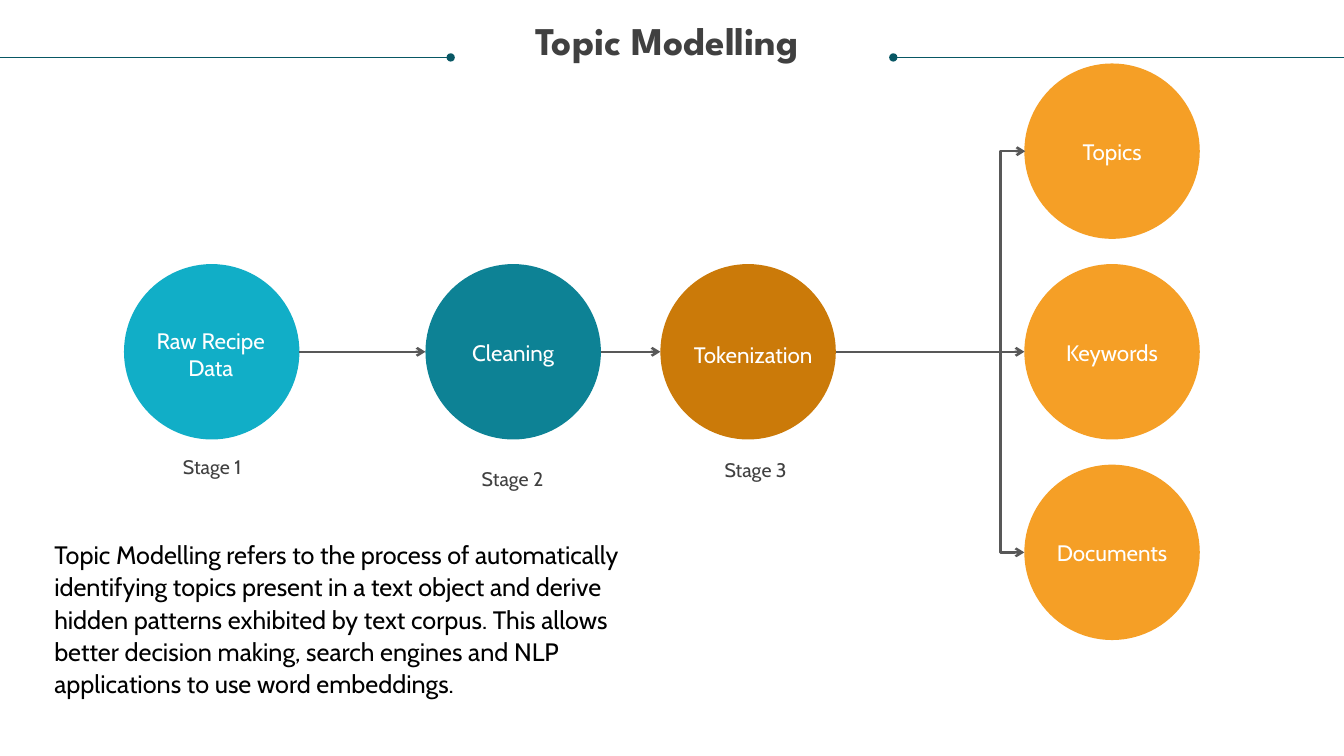
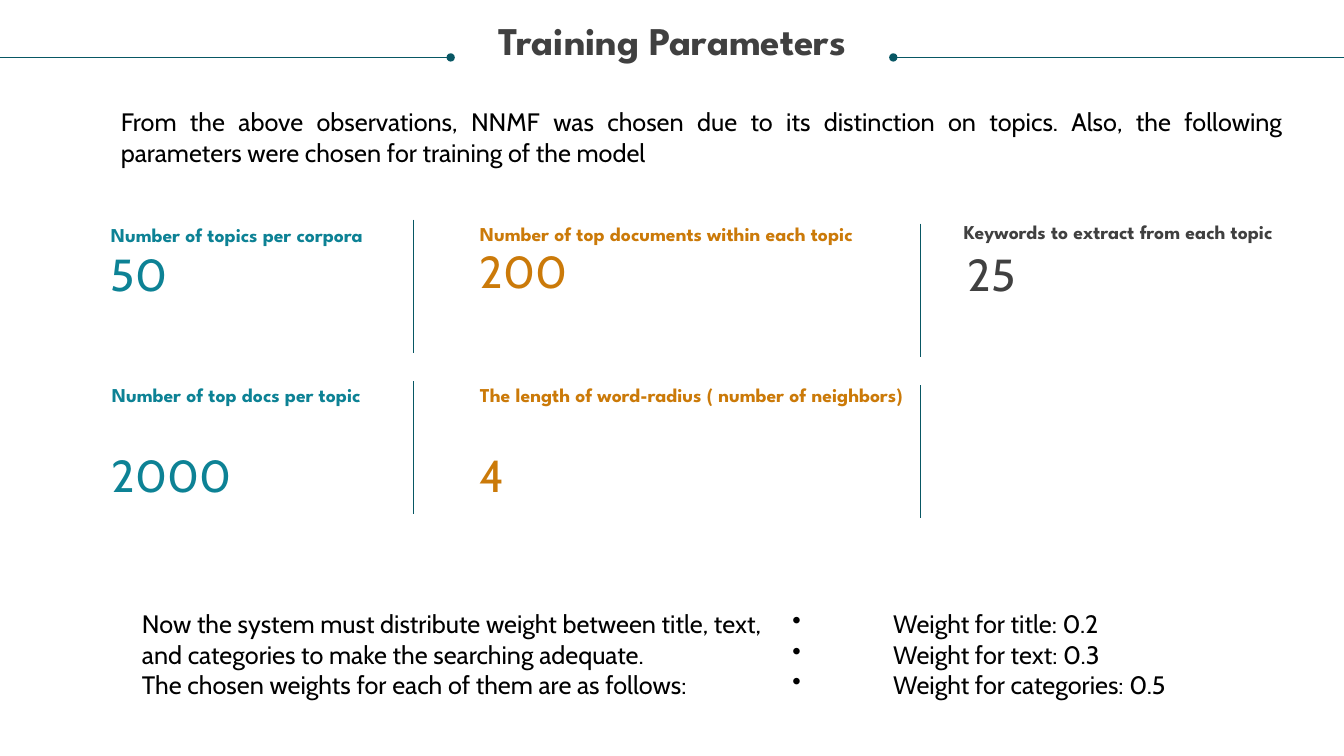
from collections import namedtuple
from itertools import pairwise

from lxml.etree import SubElement
from pptx import Presentation
from pptx.dml.color import RGBColor
from pptx.enum.shapes import MSO_CONNECTOR as Link, MSO_SHAPE as Preset
from pptx.enum.text import MSO_ANCHOR as Anchor, MSO_AUTO_SIZE as Fit, PP_ALIGN as Align
from pptx.oxml.ns import qn
from pptx.util import Inches, Pt

TEAL, CYAN, BROWN, ORANGE = "0D8295", "11AEC7", "CB7A09", "F59F26"
DARK, GREY, RULE, BLACK, WHITE = "404040", "585858", "085764", "000000", "FFFFFF"
HEADING, BODY = "League Spartan", "Cabin"
WIDTH, HEIGHT = 13.33, 7.5
DIAMETER = 1.74
MIDDLE, ROW_STEP = 3.49, 1.99

Style = namedtuple("Style", "font size color bold align spacing anchor inset",
                   defaults=(False, Align.LEFT, None, Anchor.TOP, 0))
TITLE = Style(HEADING, 28, DARK, True, Align.CENTER, 0.9)
PROSE = Style(BODY, 18, BLACK, inset=1)
NODE = Style(BODY, 16, WHITE, align=Align.CENTER, anchor=Anchor.MIDDLE)
STAGE = Style(BODY, 14, DARK, False, Align.CENTER, Pt(19), Anchor.MIDDLE)


def rgb(color):
    """Turn a hex string into a colour."""
    return RGBColor.from_string(color)


def add_text(page, left, top, width, height, texts, style):
    """Add a text box with one paragraph per text and return its paragraphs."""
    box = page.shapes.add_textbox(*map(Inches, (left, top, width, height)))
    frame = box.text_frame
    frame.word_wrap = True
    frame.auto_size = Fit.SHAPE_TO_FIT_TEXT
    frame.vertical_anchor = style.anchor
    frame.margin_left = frame.margin_right = Inches(0.1 * style.inset)
    frame.margin_top = frame.margin_bottom = Inches(0.05 * style.inset)
    for index, text in enumerate(texts):
        para = frame.add_paragraph() if index else frame.paragraphs[0]
        para.alignment = style.align
        if style.spacing:
            para.line_spacing = style.spacing
        span = para.add_run()
        span.text = text
        span.font.name = style.font
        span.font.size = Pt(style.size)
        span.font.bold = style.bold
        span.font.color.rgb = rgb(style.color)
    return frame.paragraphs


def add_bullet(para, indent):
    """Give a paragraph a bullet that hangs by an indent."""
    props = para._p.get_or_add_pPr()
    props.set("marL", str(Inches(indent)))
    props.set("indent", str(-Inches(indent)))
    SubElement(props, qn("a:buChar"), char="•")


def add_line(page, start, end, color=RULE, weight=0.5, head=None, tail=None, kind=Link.STRAIGHT):
    """Add a connector with optional end marks."""
    line = page.shapes.add_connector(kind, *map(Inches, (*start, *end)))
    line.line.color.rgb = rgb(color)
    line.line.width = Pt(weight)
    outline = line.line._get_or_add_ln()
    for tag, mark in (("a:headEnd", head), ("a:tailEnd", tail)):
        if mark:
            SubElement(outline, qn(tag), type=mark)
    SubElement(line._element.spPr, qn("a:effectLst"))
    return line


def add_circle(page, left, center, color):
    """Add a plain circle centred on a height."""
    frame = (left, center - DIAMETER / 2, DIAMETER, DIAMETER)
    circle = page.shapes.add_shape(Preset.OVAL, *map(Inches, frame))
    circle.shadow.inherit = False
    circle.fill.solid()
    circle.fill.fore_color.rgb = rgb(color)
    circle.line.fill.background()


def add_page(deck, title):
    """Add a blank page with the shared title and side rules."""
    page = deck.slides.add_slide(deck.slide_layouts[6])
    add_line(page, (8.86, 0.57), (WIDTH, 0.57), head="oval")
    add_line(page, (0, 0.57), (4.47, 0.57), tail="oval")
    add_text(page, 0.25, 0.21, 12.83, 0.42, [title], TITLE)
    return page


def build_modelling(deck):
    """Build the flow from raw data to the three outputs."""
    page = add_page(deck, "Topic Modelling ")
    output_left = 10.16
    top_row, bottom_row = MIDDLE - ROW_STEP, MIDDLE + ROW_STEP
    nodes = [
        (1.23, MIDDLE, CYAN, "Raw Recipe Data", 1.34, 3.24, 0.54),
        (4.22, MIDDLE, TEAL, "Cleaning", 4.34, 3.36, 0.27),
        (6.55, MIDDLE, BROWN, "Tokenization", 6.72, 3.38, 0.27),
        (output_left, MIDDLE, ORANGE, "Keywords", 10.28, 3.36, 0.27),
        (output_left, top_row, ORANGE, "Topics", 10.28, 1.37, 0.27),
        (output_left, bottom_row, ORANGE, "Documents", 10.28, 5.35, 0.27),
    ]
    for left, center, color, *_ in nodes:
        add_circle(page, left, center, color)
    for (left, *_), (target, *_) in pairwise(nodes[:4]):
        add_line(page, (left + DIAMETER, MIDDLE), (target, MIDDLE), GREY, 1.75, tail="arrow")
    branch = add_line(page, (output_left + 0.01, top_row), (output_left, bottom_row),
                      GREY, 1.75, "arrow", "arrow", Link.ELBOW)
    guides = branch._element.spPr.prstGeom.get_or_add_avLst()
    SubElement(guides, qn("a:gd"), name="adj1", fmla="val 2500000")
    for *_, label, left, top, height in nodes:
        add_text(page, left, top, 1.5, height, [label], NODE)
    for number, (left, top) in enumerate([(1.37, 4.49), (4.35, 4.61), (6.76, 4.52)], 1):
        add_text(page, left, top, 1.47, 0.24, [f"Stage {number}"], STAGE)
    add_text(page, 0.44, 5.28, 6.17, 2.14, [
        "Topic Modelling refers to the process of automatically identifying topics present in "
        "a text object and derive hidden patterns exhibited by text corpus. This allows better "
        "decision making, search engines and NLP applications to use word embeddings."
    ], PROSE._replace(spacing=1.07))


def build_parameters(deck):
    """Build the grid of training parameters and the weights."""
    page = add_page(deck, "Training Parameters")
    add_text(page, 1.1, 1.01, 11.72, 0.71, [
        "From the above observations, NNMF was chosen due to its distinction on topics. Also, "
        "the following parameters were chosen for training of the model"
    ], PROSE._replace(align=Align.JUSTIFY))
    for left, top in ((4.1, 2.18), (9.13, 2.22)):
        for start in (top, top + 1.6):
            add_line(page, (left, start), (left, start + 1.32))
    parameters = [
        ("Number of topics per corpora", 1.1, 2.18, 3, "50", 1.1, 2.45, TEAL),
        ("Number of top documents within each topic", 4.76, 2.17, 4.26, "200", 4.76, 2.42, BROWN),
        ("Keywords to extract from each topic", 9.56, 2.15, 3.52, "25", 9.6, 2.45, DARK),
        ("Number of top docs per topic", 1.11, 3.77, 3, "2000", 1.11, 4.44, TEAL),
        ("The length of word-radius ( number of neighbors)", 4.76, 3.77, 4.26,
         "4", 4.76, 4.44, BROWN),
    ]
    for label, left, top, width, value, value_left, value_top, color in parameters:
        add_text(page, left, top, width, 0.24, [label],
                 Style(HEADING, 14, color, True, spacing=Pt(19)))
        add_text(page, value_left, value_top, 3, 0.54, [value], Style(BODY, 32, color))
    add_text(page, 1.31, 5.99, 6.67, 1.01, [
        "Now the system must distribute weight between title, text, and categories to make "
        "the searching adequate.",
        "The chosen weights for each of them are as follows:",
    ], PROSE)
    weights = [("title", 0.2), ("text", 0.3), ("categories", 0.5)]
    texts = [f"Weight for {part}: {weight}" for part, weight in weights]
    for para in add_text(page, 7.76, 5.99, 5.5, 1.01, texts, PROSE):
        add_bullet(para, 1)


def main():
    """Build and save the deck."""
    deck = Presentation()
    deck.slide_width, deck.slide_height = Inches(WIDTH), Inches(HEIGHT)
    build_modelling(deck)
    build_parameters(deck)
    deck.save("out.pptx")


if __name__ == "__main__":
    main()
